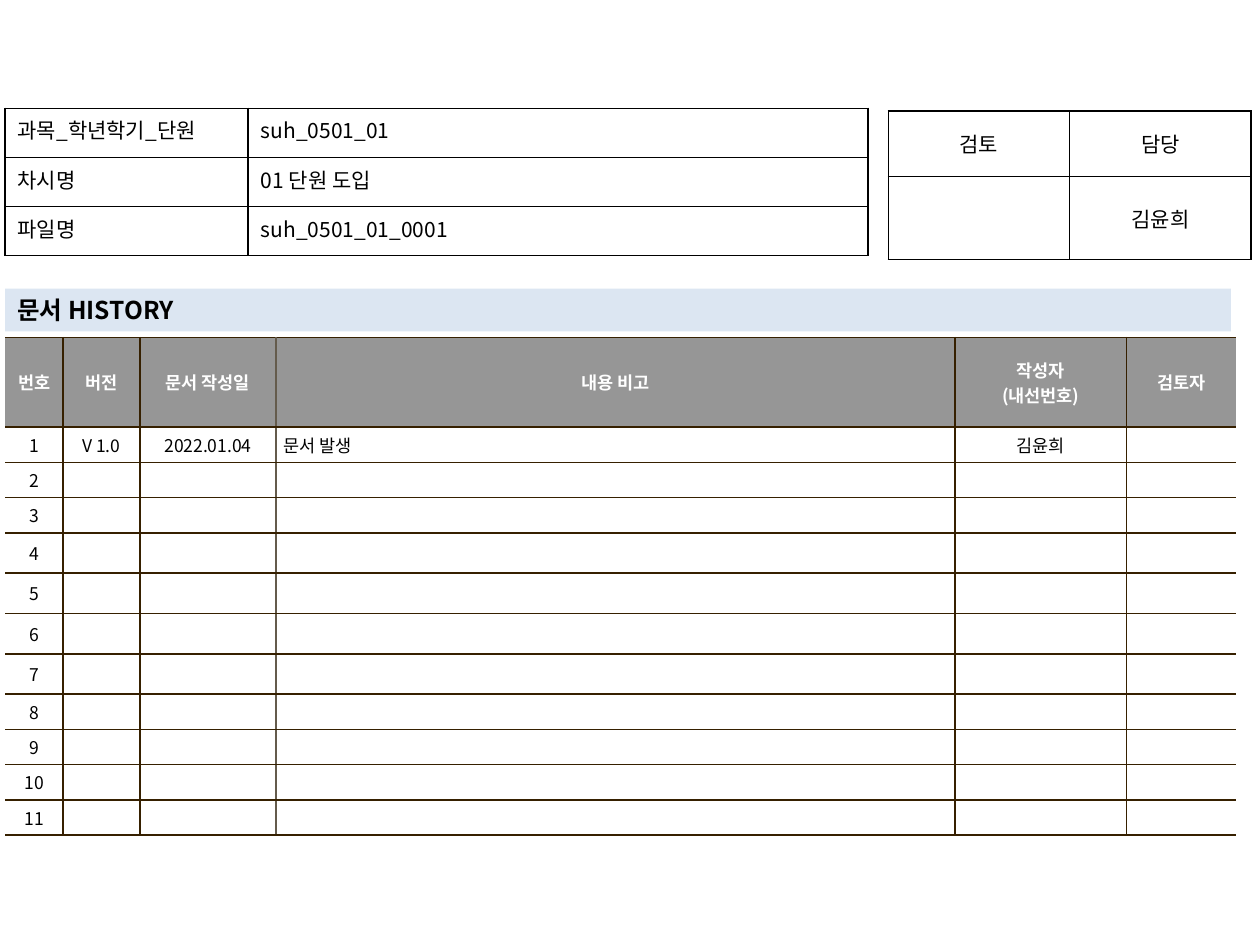
import lxml.etree
import pptx
import pptx.dml.color
import pptx.enum.shapes
import pptx.enum.text
import pptx.oxml.ns
import pptx.util

Inches = pptx.util.Inches
RGBColor = pptx.dml.color.RGBColor
ALIGN = pptx.enum.text.PP_ALIGN
ANCHOR = pptx.enum.text.MSO_ANCHOR
qn = pptx.oxml.ns.qn

FONT = "Noto Sans CJK KR"
BLACK = RGBColor(0x00, 0x00, 0x00)
WHITE = RGBColor(0xFF, 0xFF, 0xFF)
HEADER_GRAY = RGBColor(0x96, 0x96, 0x96)
BANNER_BLUE = RGBColor(0xDC, 0xE6, 0xF2)
BROWN = RGBColor(0x36, 0x20, 0x00)
TAUPE = RGBColor(0x64, 0x5B, 0x4C)


def write_text(frame, text, size=12, color=BLACK, bold=False, align=ALIGN.LEFT, hanging=0):
    """Write one paragraph per line; an empty text keeps only its size."""
    for number, line in enumerate(text.split("\n")):
        paragraph = frame.paragraphs[0] if number == 0 else frame.add_paragraph()
        paragraph.alignment = align
        if hanging:
            indents = paragraph._p.get_or_add_pPr()
            indents.set("marL", str(Inches(hanging)))
            indents.set("indent", str(-Inches(hanging)))
        if not line:
            lxml.etree.SubElement(paragraph._p, qn("a:endParaRPr"), sz=str(size * 100))
            continue
        run = paragraph.add_run()
        run.text = line
        run.font.size = pptx.util.Pt(size)
        run.font.name = FONT
        run.font.bold = bold
        run.font.color.rgb = color
        east_asian = lxml.etree.SubElement(run.font._element, qn("a:ea"))
        east_asian.set("typeface", FONT)


def draw_borders(cell, left, right, top, bottom):
    """Give each side a 1 pt line in its colour, or no line for None."""
    properties = cell._tc.get_or_add_tcPr()
    for side, color in zip("LRTB", (left, right, top, bottom)):
        line = lxml.etree.SubElement(properties, qn("a:ln" + side), w=str(pptx.util.Pt(1)))
        if color is None:
            lxml.etree.SubElement(line, qn("a:noFill"))
        else:
            fill = lxml.etree.SubElement(line, qn("a:solidFill"))
            lxml.etree.SubElement(fill, qn("a:srgbClr"), val=str(color))


presentation = pptx.Presentation()
presentation.slide_width = Inches(10)
presentation.slide_height = Inches(7.5)
slide = presentation.slides.add_slide(presentation.slide_layouts[6])

# Contents of the three tables
lesson = [
    ["과목_학년학기_단원", "suh_0501_01"],
    ["차시명", "01 단원 도입"],
    ["파일명", "suh_0501_01_0001"],
]
approval = [["검토", "담당"], ["", "김윤희"]]
history = [
    ["번호", "버전", "문서 작성일", "내용 비고", "작성자\n(내선번호)", "검토자"],
    ["1", "V 1.0", "2022.01.04", "문서 발생", "김윤희", ""],
]
history += [[str(number)] + [""] * 5 for number in range(2, 12)]
TALL_ROWS = range(4, 8)
history_heights = [0.71] + [0.32 if row in TALL_ROWS else 0.28 for row in range(1, 12)]

# Section banner
banner = slide.shapes.add_shape(
    pptx.enum.shapes.MSO_SHAPE.RECTANGLE, Inches(0.04), Inches(2.29), Inches(9.73), Inches(0.34)
)
banner.shadow.inherit = False
banner.fill.solid()
banner.fill.fore_color.rgb = BANNER_BLUE
banner.line.fill.background()
banner.text_frame.word_wrap = True
banner.text_frame.vertical_anchor = ANCHOR.MIDDLE
write_text(banner.text_frame, "문서 HISTORY", size=14, bold=True)

# Tables: contents, left, top, column widths, row heights
layouts = [
    (history, 0.04, 2.68, [0.46, 0.61, 1.08, 5.39, 1.36, 0.87], history_heights),
    (approval, 7.05, 0.88, [1.44, 1.44], [0.52, 0.66]),
    (lesson, 0.04, 0.86, [1.93, 4.92], [0.39] * 3),
]
for contents, left, top, widths, heights in layouts:
    table = slide.shapes.add_table(
        len(heights), len(widths), Inches(left), Inches(top),
        Inches(sum(widths)), Inches(sum(heights)),
    ).table
    table.first_row = False
    table.horz_banding = False
    for column, width in zip(table.columns, widths):
        column.width = Inches(width)
    for row, height in zip(table.rows, heights):
        row.height = Inches(height)

    # Vertical rules from left to right; the history table is open at its sides
    if contents is history:
        rules = [None, BROWN, BROWN, TAUPE, BROWN, BROWN, None]
        across, side_margin, end_margin = BROWN, 0.06, 0.04
    else:
        rules = [BLACK] * 3
        across, side_margin, end_margin = BLACK, 0.1, 0.05

    for row, texts in enumerate(contents):
        for column, text in enumerate(texts):
            cell = table.cell(row, column)
            cell.margin_left = cell.margin_right = Inches(side_margin)
            cell.margin_top = cell.margin_bottom = Inches(end_margin)
            cell.vertical_anchor = ANCHOR.TOP if contents is lesson else ANCHOR.MIDDLE
            draw_borders(cell, rules[column], rules[column + 1], across, across)
            style = {"align": ALIGN.CENTER}
            if contents is history:
                is_header = row == 0
                cell.fill.solid()
                cell.fill.fore_color.rgb = HEADER_GRAY if is_header else WHITE
                style.update(size=12 if row in TALL_ROWS and not text else 10, bold=is_header)
                style["color"] = WHITE if is_header else BLACK
                if column == 3 and not is_header:
                    style.update(align=ALIGN.LEFT, hanging=0.19)
            else:
                cell.fill.background()
                if contents is lesson:
                    style["align"] = ALIGN.JUSTIFY if column == 0 else ALIGN.LEFT
            write_text(cell.text_frame, text, **style)

presentation.save("out.pptx")
